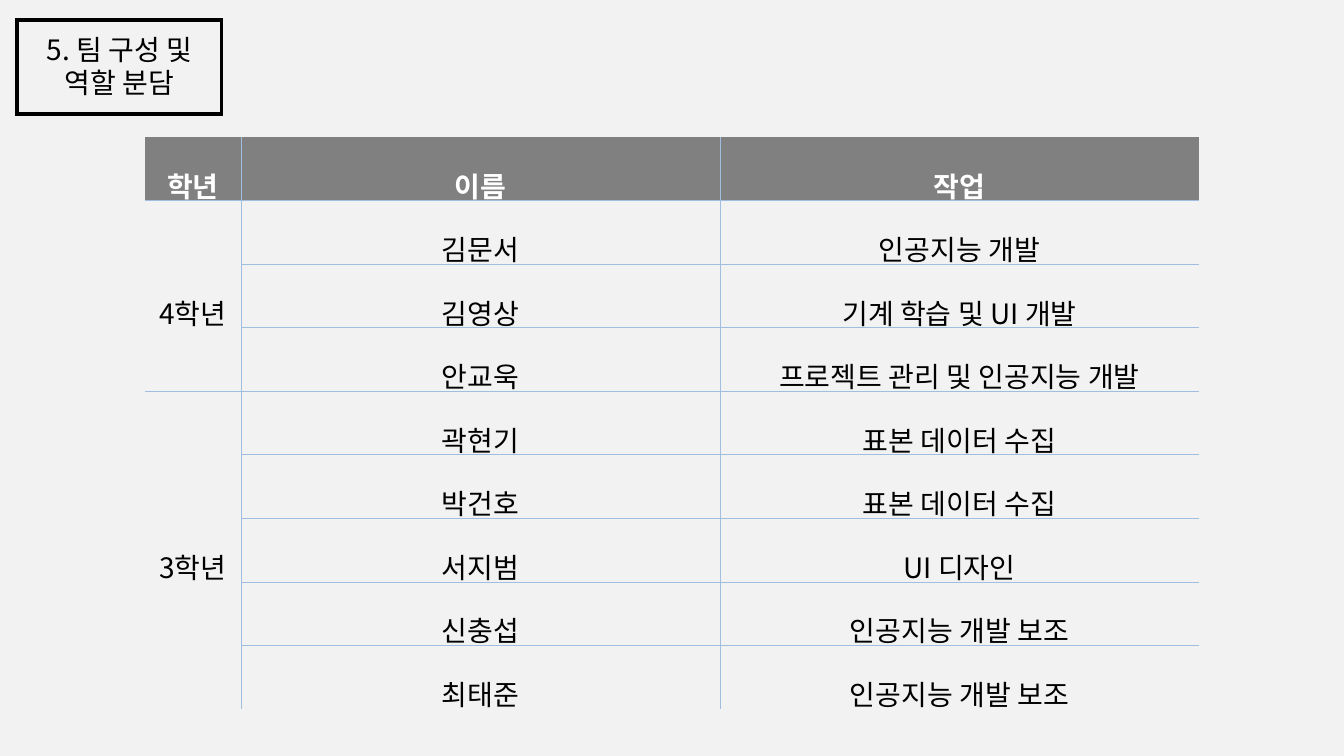
import pptx
import pptx.util
import pptx.dml.color
import pptx.enum.shapes
import pptx.enum.text
import pptx.oxml.ns
import lxml.etree

PX = 914400 / 100.8
THEME = {
    "font": "Noto Sans CJK KR", "size": 20, "background": "F2F2F2",
    "text": "000000", "header_text": "FFFFFF", "header_fill": "808080",
    "grid": "A0BEE0", "grid_width": 0.28, "frame_width": 2.25,
}
rgb = pptx.dml.color.RGBColor.from_string
qn = pptx.oxml.ns.qn


def px(*lengths):
    return [round(n * PX) for n in lengths]


def write(tf, text, color, bold, spacing):
    p = tf.paragraphs[0]
    p.alignment = pptx.enum.text.PP_ALIGN.CENTER
    p.line_spacing = spacing
    r = p.add_run()
    r.text = text
    font_format = {"name": THEME["font"], "size": pptx.util.Pt(THEME["size"]), "bold": bold}
    for name, value in font_format.items():
        setattr(r.font, name, value)
    r.font.color.rgb = rgb(color)
    east_asian = lxml.etree.SubElement(r.font._element, qn("a:ea"))
    east_asian.set("typeface", THEME["font"])


# Slide and background
prs = pptx.Presentation()
prs.slide_width, prs.slide_height = px(1344, 756)
s = prs.slides.add_slide(prs.slide_layouts[5])
s.background.fill.solid()
s.background.fill.fore_color.rgb = rgb(THEME["background"])

# Title
title = s.shapes.title
title.left, title.top, title.width, title.height = px(13, 27, 213, 78)
tf = title.text_frame
title_format = {
    "word_wrap": True,
    "auto_size": pptx.enum.text.MSO_AUTO_SIZE.NONE,
    "vertical_anchor": pptx.enum.text.MSO_ANCHOR.MIDDLE,
}
for name, value in title_format.items():
    setattr(tf, name, value)
write(tf, "5. 팀 구성 및 역할 분담", THEME["text"], False, 1.0)

# Title frame with square corners
frame = s.shapes.add_shape(pptx.enum.shapes.MSO_SHAPE.RECTANGLE, *px(17, 20, 205, 94))
frame.shadow.inherit = False
frame.fill.background()
frame.line.color.rgb = rgb(THEME["text"])
frame.line.width = pptx.util.Pt(THEME["frame_width"])
frame_ln = frame._element.spPr.find(qn("a:ln"))
lxml.etree.SubElement(frame_ln, qn("a:miter")).set("lim", "800000")

# Team members by grade
header = ("학년", "이름", "작업")
grades = {
    "4학년": [
        ("김문서", "인공지능 개발"),
        ("김영상", "기계 학습 및 UI 개발"),
        ("안교욱", "프로젝트 관리 및 인공지능 개발"),
    ],
    "3학년": [
        ("곽현기", "표본 데이터 수집"),
        ("박건호", "표본 데이터 수집"),
        ("서지범", "UI 디자인"),
        ("신충섭", "인공지능 개발 보조"),
        ("최태준", "인공지능 개발 보조"),
    ],
}
rows = [header]
grade_starts = []
for grade, members in grades.items():
    grade_starts.append(len(rows))
    for i, (member, task) in enumerate(members):
        rows.append((grade if i == 0 else "", member, task))

# Table
row_count, col_count = len(rows), len(header)
table = s.shapes.add_table(row_count, col_count, *px(145, 137, 1054, 572)).table
table.first_row = table.horz_banding = False
for column, width in zip(table.columns, px(96, 479, 479)):
    column.width = width

# The negative bottom margin lets the tall line sit low in its row
cell_format = {"vertical_anchor": pptx.enum.text.MSO_ANCHOR.MIDDLE}
for side, margin in zip(("left", "top", "right", "bottom"), px(7, 3, 7, -5)):
    cell_format["margin_" + side] = margin

for row, texts in enumerate(rows):
    for col, text in enumerate(texts):
        cell = table.cell(row, col)
        for name, value in cell_format.items():
            setattr(cell, name, value)

        # Inner grid lines, open at the outer edges and inside a grade
        edges = {
            "a:lnL": col > 0,
            "a:lnR": col < col_count - 1,
            "a:lnT": row > 0 and (col > 0 or row in grade_starts),
            "a:lnB": row < row_count - 1 and (col > 0 or row + 1 in grade_starts),
        }
        tc_pr = cell._tc.get_or_add_tcPr()
        for tag, visible in edges.items():
            ln = lxml.etree.SubElement(tc_pr, qn(tag))
            if visible:
                ln.set("w", str(pptx.util.Pt(THEME["grid_width"])))
                fill = lxml.etree.SubElement(ln, qn("a:solidFill"))
                lxml.etree.SubElement(fill, qn("a:srgbClr")).set("val", THEME["grid"])
            else:
                lxml.etree.SubElement(ln, qn("a:noFill"))

        if row == 0:
            cell.fill.solid()
            cell.fill.fore_color.rgb = rgb(THEME["header_fill"])
        else:
            cell.fill.background()
        if text:
            color = THEME["header_text" if row == 0 else "text"]
            write(cell.text_frame, text, color, row == 0, 1.6)

# Grade cells span their members
for start, members in zip(grade_starts, grades.values()):
    table.cell(start, 0).merge(table.cell(start + len(members) - 1, 0))

prs.save("out.pptx")
